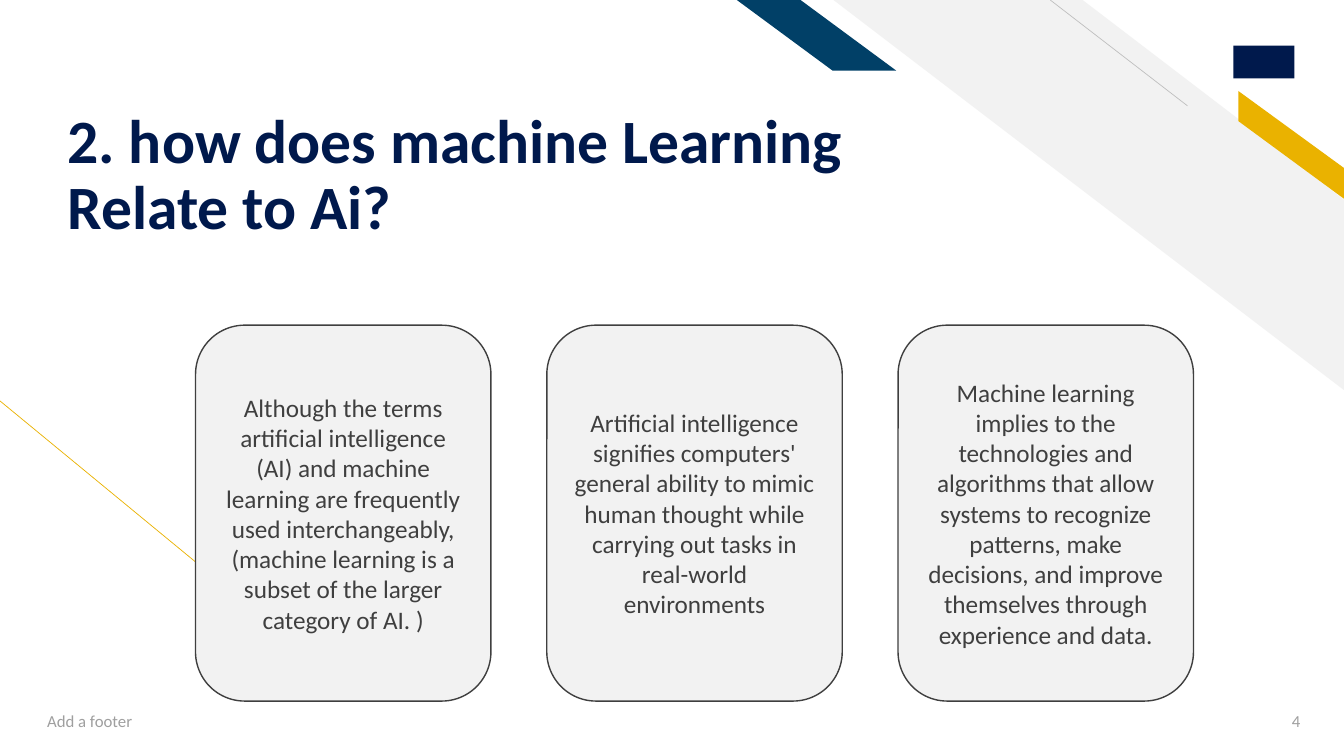
import pptx
import pptx.dml.color
import pptx.enum.shapes
import pptx.enum.text
import pptx.oxml
import pptx.util

Pt = pptx.util.Pt
RGBColor = pptx.dml.color.RGBColor
MSO_SHAPE = pptx.enum.shapes.MSO_SHAPE
PP_ALIGN = pptx.enum.text.PP_ALIGN
MSO_ANCHOR = pptx.enum.text.MSO_ANCHOR

NAVY = RGBColor(0x00, 0x19, 0x4C)
BLUE = RGBColor(0x01, 0x40, 0x67)
GOLD = RGBColor(0xEA, 0xB2, 0x00)
PALE_GRAY = RGBColor(0xF2, 0xF2, 0xF2)
LINE_GRAY = RGBColor(0xBF, 0xBF, 0xBF)
FOOTER_GRAY = RGBColor(0x9F, 0x9F, 0x9F)
DARK_GRAY = RGBColor(0x3F, 0x3F, 0x3F)

EFFECT_LIST = '<a:effectLst xmlns:a="http://schemas.openxmlformats.org/drawingml/2006/main"/>'


def paint(shape, color):
    shape.shadow.inherit = False
    shape.fill.solid()
    shape.fill.fore_color.rgb = color
    shape.line.fill.background()


def write(shape, text, size, color, alignment):
    """Put one vertically centred Calibri paragraph in the shape."""
    frame = shape.text_frame
    frame.word_wrap = True
    frame.vertical_anchor = MSO_ANCHOR.MIDDLE
    paragraph = frame.paragraphs[0]
    paragraph.text = text
    paragraph.alignment = alignment
    paragraph.font.name = "Calibri"
    paragraph.font.size = Pt(size)
    paragraph.font.color.rgb = color


presentation = pptx.Presentation()
presentation.slide_width = Pt(960)
presentation.slide_height = Pt(540)
slide = presentation.slides.add_slide(presentation.slide_layouts[5])
shapes = slide.shapes

# Corner stripes, mirrored left to right
mirrored_stripes = [
    (MSO_SHAPE.DIAGONAL_STRIPE, 595.4, 364.6, 278.6, 0.512, PALE_GRAY),
    (MSO_SHAPE.PARALLELOGRAM, 526.3, 113.8, 50.4, 1.356, BLUE),
]
for kind, left, width, height, adjustment, color in mirrored_stripes:
    stripe = shapes.add_shape(kind, Pt(left), 0, Pt(width), Pt(height))
    stripe.adjustments[0] = adjustment
    stripe.element.spPr.xfrm.set("flipH", "1")
    paint(stripe, color)

# Gold band running to the right edge
builder = shapes.build_freeform(Pt(884.5), Pt(65), scale=1.0)
builder.add_line_segments(
    [(Pt(x), Pt(y)) for x, y in [(960, 120), (960, 142), (884.5, 86.5)]], close=True
)
paint(builder.convert_to_shape(), GOLD)

# Thin diagonal lines
diagonals = [
    (0, 286.4, 149.8, 409.7, GOLD),
    (750.2, 0, 848.2, 75.6, LINE_GRAY),
]
for start_x, start_y, end_x, end_y, color in diagonals:
    diagonal = shapes.add_connector(
        pptx.enum.shapes.MSO_CONNECTOR.STRAIGHT, Pt(start_x), Pt(start_y), Pt(end_x), Pt(end_y)
    )
    diagonal.line.color.rgb = color
    diagonal.line.width = Pt(0.5)
    diagonal.element.spPr.append(pptx.oxml.parse_xml(EFFECT_LIST))

# Plain block for the emblem
emblem = shapes.add_shape(MSO_SHAPE.RECTANGLE, Pt(881), Pt(32.5), Pt(43.5), Pt(23.5))
paint(emblem, NAVY)

# Title
title = shapes.title
title.left, title.top, title.width, title.height = Pt(41), Pt(16.6), Pt(686.2), Pt(157)
write(title, "2. how does machine Learning Relate to Ai?", 44, NAVY, PP_ALIGN.LEFT)
title.text_frame.auto_size = pptx.enum.text.MSO_AUTO_SIZE.NONE
title.text_frame.vertical_anchor = MSO_ANCHOR.BOTTOM
title.text_frame.margin_bottom = 0
title.text_frame.paragraphs[0].font.bold = True
title.text_frame.paragraphs[0].line_spacing = 0.9

# Footer and slide number
footers = [
    ("Add a footer", 26.6, 324, PP_ALIGN.LEFT),
    ("4", 877.7, 58.3, PP_ALIGN.RIGHT),
]
for text, left, width, alignment in footers:
    footer = shapes.add_textbox(Pt(left), Pt(500.4), Pt(width), Pt(28.8))
    write(footer, text, 12, FOOTER_GRAY, alignment)

# Three equally spaced cards
CARD_LEFT, CARD_PITCH = 139.7, 250.9
cards = [
    "Although the terms artificial intelligence (AI) and machine learning are frequently used "
    "interchangeably, (machine learning is a subset of the larger category of AI. )",
    "Artificial intelligence signifies computers' general ability to mimic human thought while "
    "carrying out tasks in real-world environments",
    "Machine learning implies to the technologies and algorithms that allow systems to recognize "
    "patterns, make decisions, and improve themselves through experience and data.",
]
for index, text in enumerate(cards):
    card = shapes.add_shape(
        MSO_SHAPE.ROUNDED_RECTANGLE,
        Pt(CARD_LEFT + index * CARD_PITCH), Pt(232.3), Pt(211), Pt(268.5),
    )
    paint(card, PALE_GRAY)
    card.line.color.rgb = DARK_GRAY
    card.line.width = Pt(1)
    write(card, text, 18, DARK_GRAY, PP_ALIGN.CENTER)

presentation.save("out.pptx")
